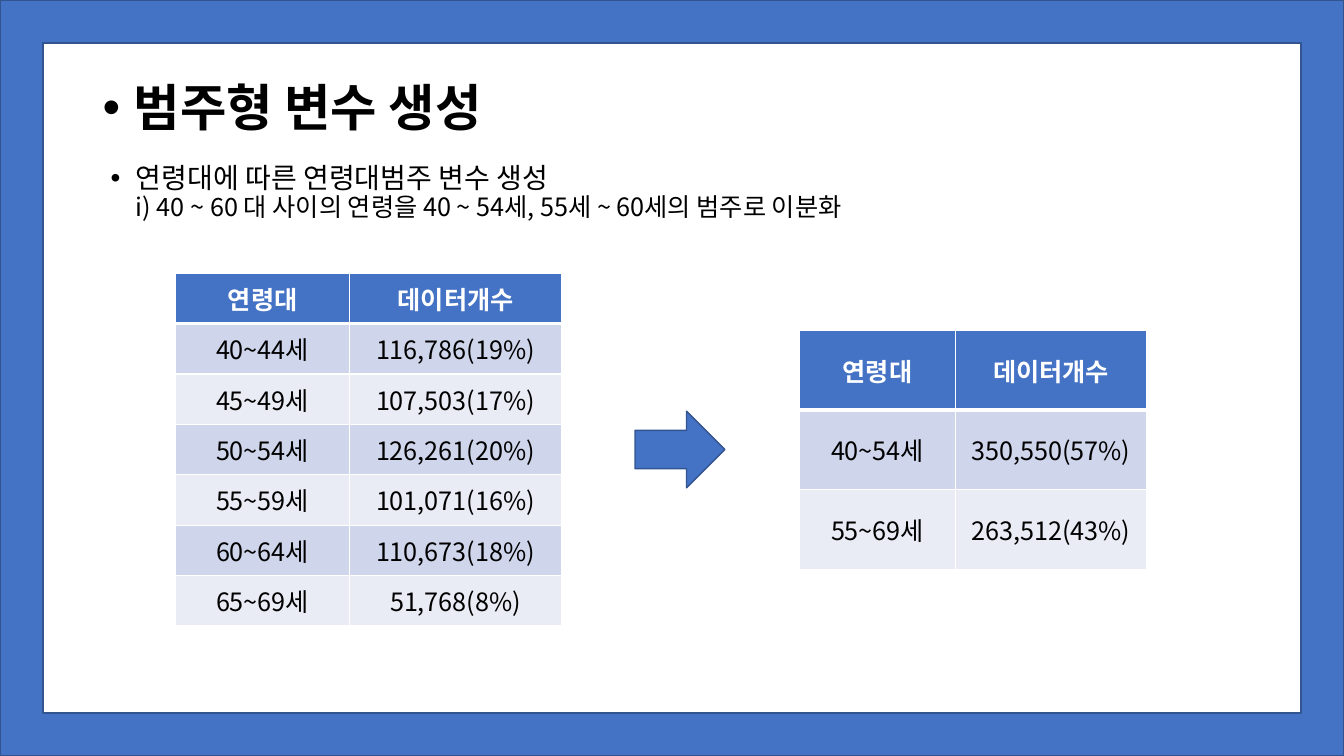
from lxml.etree import SubElement as Sub
from pptx import Presentation
from pptx.dml.color import RGBColor as Rgb
from pptx.enum.shapes import MSO_SHAPE as Kind
from pptx.enum.text import MSO_ANCHOR as Anchor, PP_ALIGN as Align
from pptx.oxml.ns import qn
from pptx.util import Inches, Pt

HUES = {"blue": "4472C4", "edge": "325491", "dark": "CFD5EA",
        "light": "E9EBF5", "ink": "000000", "white": "FFFFFF"}
FACE = "Noto Sans CJK KR"
HEAD = ("연령대", "데이터개수")
AGES = (HEAD, ("40~44세", "116,786(19%)"), ("45~49세", "107,503(17%)"),
        ("50~54세", "126,261(20%)"), ("55~59세", "101,071(16%)"),
        ("60~64세", "110,673(18%)"), ("65~69세", "51,768(8%)"))
HALVES = (HEAD, ("40~54세", "350,550(57%)"), ("55~69세", "263,512(43%)"))


class Deck:
    """Draws styled elements on one slide, with lengths in percent of its size."""

    def __init__(self):
        self.prs = Presentation()
        self.prs.slide_width = Inches(13.33)
        self.prs.slide_height = Inches(7.5)
        self.slide = self.prs.slides.add_slide(self.prs.slide_layouts[6])
        self.shapes = self.slide.shapes

    def wide(self, share):
        return int(self.prs.slide_width * share / 100)

    def high(self, share):
        return int(self.prs.slide_height * share / 100)

    def box(self, x, y, w, h):
        return self.wide(x), self.high(y), self.wide(w), self.high(h)

    def paint(self, fill, hue):
        fill.solid()
        fill.fore_color.rgb = Rgb.from_string(HUES[hue])

    def style(self, run, size, hue="ink", bold=False):
        font = run.font
        font.size, font.bold, font.name = Pt(size), bold, FACE
        font.color.rgb = Rgb.from_string(HUES[hue])
        Sub(font._element, qn("a:ea"), typeface=FACE)

    def shape(self, kind, area, adjust=None):
        item = self.shapes.add_shape(kind, *self.box(*area))
        item.shadow.inherit = False
        self.paint(item.fill, "blue")
        self.paint(item.line.fill, "edge")
        item.line.width = Pt(1)
        if adjust is not None:
            item.adjustments[0] = adjust

    def bullet(self, area, text, sizes, indent, bold=False, pitch=1.0):
        frame = self.shapes.add_textbox(*self.box(*area)).text_frame
        frame.word_wrap = True
        frame.text = text
        para = frame.paragraphs[0]
        props = para._p.get_or_add_pPr()
        props.set("marL", str(Inches(indent)))
        props.set("indent", str(-Inches(indent)))
        Sub(props, qn("a:buFont"), typeface="Arial")
        Sub(props, qn("a:buChar"), char="•")
        para.line_spacing = pitch
        for run, size in zip(para.runs, sizes):
            self.style(run, size, bold=bold)

    def border(self, cell, row):
        props = cell._tc.get_or_add_tcPr()
        thick = {0: "lnB", 1: "lnT"}.get(row)
        for side in ("lnL", "lnR", "lnT", "lnB"):
            width = Pt(3 if side == thick else 1)
            line = Sub(props, qn("a:" + side), w=str(width))
            solid = Sub(line, qn("a:solidFill"))
            Sub(solid, qn("a:srgbClr"), val=HUES["white"])

    def table(self, x, y, cols, step, data):
        area = self.box(x, y, sum(cols), step * len(data))
        grid = self.shapes.add_table(len(data), len(cols), *area).table
        for col, share in zip(grid.columns, cols):
            col.width = self.wide(share)
        for r, texts in enumerate(data):
            grid.rows[r].height = self.high(step)
            hue = "blue" if r == 0 else "dark" if r % 2 else "light"
            for c, text in enumerate(texts):
                cell = grid.cell(r, c)
                self.border(cell, r)
                self.paint(cell.fill, hue)
                cell.vertical_anchor = Anchor.MIDDLE
                cell.text_frame.text = text
                para = cell.text_frame.paragraphs[0]
                para.alignment = Align.CENTER
                self.style(para.runs[0], 18, "ink" if r else "white", r == 0)


def main():
    deck = Deck()
    deck.shape(Kind.FRAME, (0, 0, 100, 100), 0.057)
    deck.bullet((7.5, 21.07, 86.25, 50.4),
                "연령대에 따른 연령대범주 변수 생성\v"
                "i) 40 ~ 60 대 사이의 연령을 40 ~ 54세, 55세 ~ 60세의 범주로 이분화",
                (20, 18), 0.25, pitch=0.9)
    deck.bullet((6.9, 9.47, 56.33, 9.47), "범주형 변수 생성", (36,), 0.31, bold=True)
    deck.table(13.05, 36.13, (12.98, 15.75), 6.67, AGES)
    deck.shape(Kind.RIGHT_ARROW, (47.25, 54.4, 6.68, 10.13))
    deck.table(59.48, 43.73, (11.63, 14.18), 10.53, HALVES)
    deck.prs.save("out.pptx")


if __name__ == "__main__":
    main()
